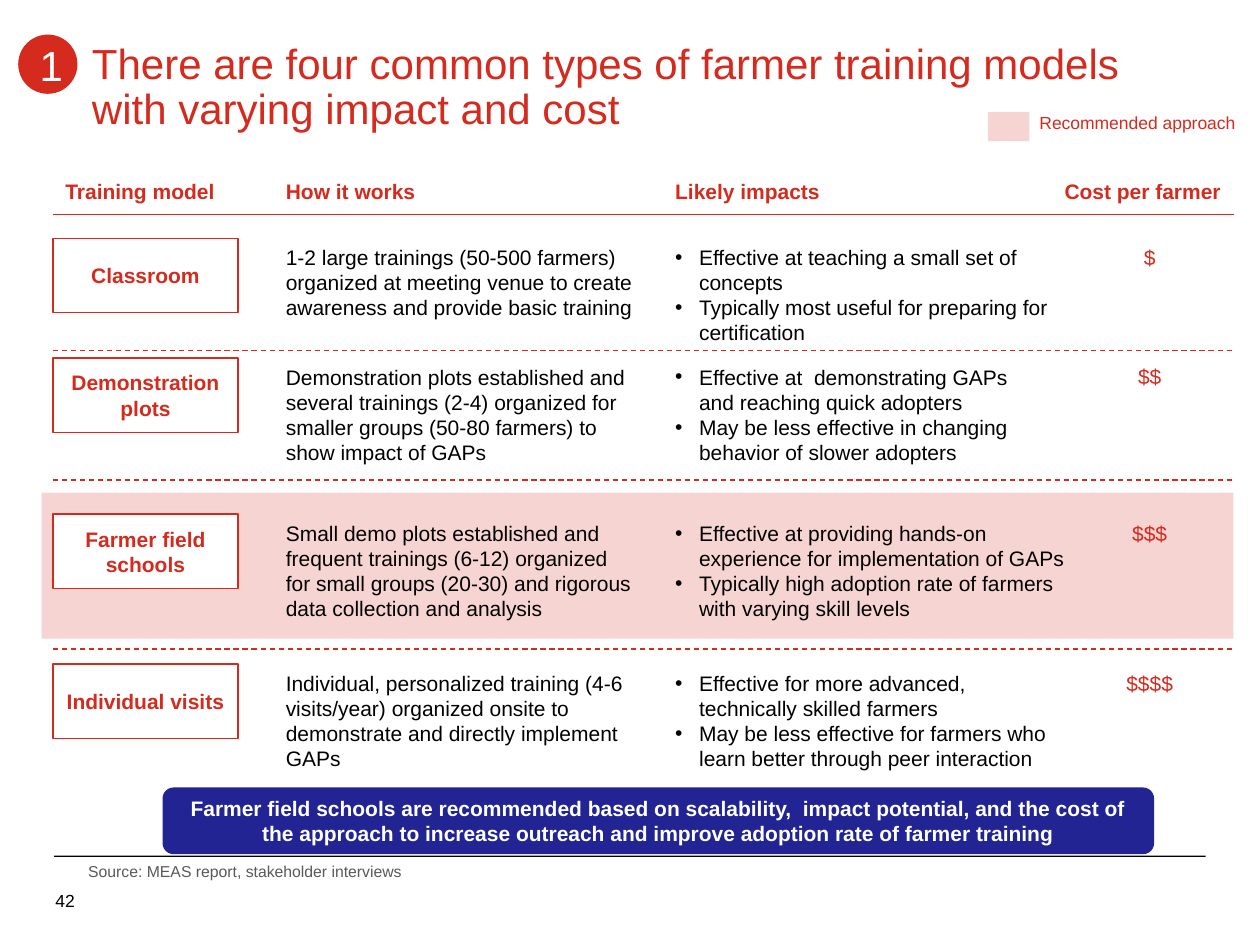
from lxml import etree
from pptx import Presentation
from pptx.dml.color import RGBColor
from pptx.enum import dml, shapes, text
from pptx.oxml import ns
from pptx.util import Inches, Pt

RED, BLUE, WHITE, BLACK, GREY = "D52B1E", "212492", "FFFFFF", "000000", "595959"
LEFT, RIGHT = 0.42, 9.79
WORKS_LEFT, IMPACT_LEFT, COST_LEFT = 2.17, 5.26, 8.46
HEADINGS = [
    (LEFT, "Training model"),
    (WORKS_LEFT, "How it works"),
    (IMPACT_LEFT, "Likely impacts"),
    (8.35, "Cost per farmer"),
]
# top, model, how it works and its width, likely impacts and their width
MODELS = [
    (1.89, "Classroom",
     "1-2 large trainings (50-500 farmers)  organized at meeting venue to create "
     "awareness and provide basic training", 3.13,
     ["Effective at teaching a small set of concepts",
      "Typically most useful for preparing for certification"], 3.2),
    (2.84, "Demonstration plots",
     "Demonstration plots established and several trainings (2-4) organized for "
     "smaller groups (50-80 farmers) to show impact of GAPs", 2.95,
     ["Effective at  demonstrating GAPs and reaching quick adopters",
      "May be less effective in changing behavior of slower adopters"], 3.08),
    (4.08, "Farmer field schools",
     "Small demo plots established and frequent trainings (6-12) organized for small "
     "groups (20-30) and rigorous data collection and analysis", 2.95,
     ["Effective at providing hands-on experience for implementation of GAPs",
      "Typically high adoption rate of farmers with varying skill levels"], 3.32),
    (5.27, "Individual visits",
     "Individual, personalized training (4-6 visits/year) organized onsite to "
     "demonstrate and directly implement GAPs", 3.13,
     ["Effective for more advanced, technically skilled farmers",
      "May be less effective for farmers who learn better through peer interaction"], 3.32),
]
DIVIDERS = [2.78, 3.81, 5.15]


def rgb(color):
    return RGBColor.from_string(color)


def add_bullet(paragraph, indent=0.19):
    properties = paragraph._p.get_or_add_pPr()
    properties.set("marL", str(Inches(indent)))
    properties.set("indent", str(-Inches(indent)))
    etree.SubElement(properties, ns.qn("a:buFont"), typeface="Arial")
    etree.SubElement(properties, ns.qn("a:buChar"), char="•")


def write(shape, lines, size=12, color=BLACK, bold=False, align="LEFT", anchor="TOP",
          inset=None, bullets=False, spacing=None):
    """Put one paragraph per line into the shape; inset applies to all four sides."""
    frame = shape.text_frame
    frame.word_wrap = True
    frame.vertical_anchor = text.MSO_ANCHOR[anchor]
    if inset is not None:
        frame.margin_left = frame.margin_right = Inches(inset)
        frame.margin_top = frame.margin_bottom = Inches(inset)
    for index, line in enumerate(lines):
        paragraph = frame.add_paragraph() if index else frame.paragraphs[0]
        paragraph.alignment = text.PP_ALIGN[align]
        if spacing:
            paragraph.line_spacing = spacing
        if bullets:
            add_bullet(paragraph)
        run = paragraph.add_run()
        run.text = line
        run.font.name = "Arial"
        run.font.size = Pt(size)
        run.font.bold = bold
        run.font.color.rgb = rgb(color)


def add_text(slide, box, *lines, **style):
    write(slide.shapes.add_textbox(*map(Inches, box)), lines, **style)


def add_block(slide, box, fill, kind="RECTANGLE", line=None, opacity=None):
    block = slide.shapes.add_shape(shapes.MSO_SHAPE[kind], *map(Inches, box))
    block.shadow.inherit = False
    block.fill.solid()
    block.fill.fore_color.rgb = rgb(fill)
    if opacity is not None:
        solid = block._element.spPr.find(ns.qn("a:solidFill"))
        etree.SubElement(solid[0], ns.qn("a:alpha"), val=str(opacity * 1000))
    if line:
        block.line.color.rgb = rgb(line)
        block.line.width = Pt(0.75)
    else:
        block.line.fill.background()
    return block


def add_rule(slide, y, dashed=False):
    rule = slide.shapes.add_connector(
        shapes.MSO_CONNECTOR.STRAIGHT, Inches(LEFT), Inches(y), Inches(RIGHT), Inches(y))
    rule.line.color.rgb = rgb(RED)
    rule.line.width = Pt(0.75)
    if dashed:
        rule.line.dash_style = dml.MSO_LINE.DASH
    etree.SubElement(rule._element.spPr, ns.qn("a:effectLst"))


def add_heading(slide):
    add_text(slide, (0.73, 0.34, 8.71, 1.04),
             "There are four common types of farmer training models with varying impact and cost",
             size=24, color=RED, inset=0, spacing=0.9)
    number = add_block(slide, (0.15, 0.28, 0.46, 0.46), RED, kind="OVAL", line=RED)
    write(number, ["1"], size=24, color=WHITE, align="CENTER", anchor="MIDDLE")
    add_block(slide, (7.84, 0.89, 0.33, 0.23), RED, opacity=20)
    add_text(slide, (8.25, 0.89, 1.84, 0.17), "Recommended approach",
             size=10, color=RED, inset=0)


def add_model(slide, top, name, works, works_width, impacts, impacts_width, cost):
    label = add_block(slide, (LEFT, top, 1.47, 0.59), WHITE, line=RED)
    write(label, [name], color=RED, bold=True, align="CENTER", anchor="MIDDLE", inset=0.05)
    add_text(slide, (WORKS_LEFT, top, works_width, 0.91), works)
    add_text(slide, (IMPACT_LEFT, top, impacts_width, 0.91), *impacts, bullets=True)
    add_text(slide, (COST_LEFT, top, 1.33, 0.3), cost, color=RED, align="CENTER")


def add_footer(slide):
    takeaway = add_block(slide, (1.29, 6.25, 7.87, 0.53), BLUE, kind="ROUNDED_RECTANGLE")
    write(takeaway,
          ["Farmer field schools are recommended based on scalability,  impact potential, and the "
           "cost of the approach to increase outreach and improve adoption rate of farmer training"],
          color=WHITE, bold=True, align="CENTER", anchor="MIDDLE")
    add_block(slide, (0.43, 6.79, 9.14, 0.01), BLACK)
    add_text(slide, (0.7, 6.84, 9.28, 0.15), "Source: MEAS report, stakeholder interviews",
             size=9, color=GREY, anchor="BOTTOM", inset=0)
    add_text(slide, (0.44, 6.95, 0.75, 0.4), "42", size=10, anchor="MIDDLE", inset=0)


def main():
    deck = Presentation()
    deck.slide_width, deck.slide_height = Inches(10), Inches(7.5)
    slide = deck.slides.add_slide(deck.slide_layouts[6])

    add_heading(slide)
    add_block(slide, (0.33, 3.91, 9.46, 1.16), RED, opacity=20)
    for left, heading in HEADINGS:
        add_text(slide, (left, 1.37, 1.72, 0.3), heading, color=RED, bold=True)
    add_rule(slide, 1.7)
    for rank, model in enumerate(MODELS, start=1):
        add_model(slide, *model, cost="$" * rank)
    for y in DIVIDERS:
        add_rule(slide, y, dashed=True)
    add_footer(slide)

    deck.save("out.pptx")


if __name__ == "__main__":
    main()
